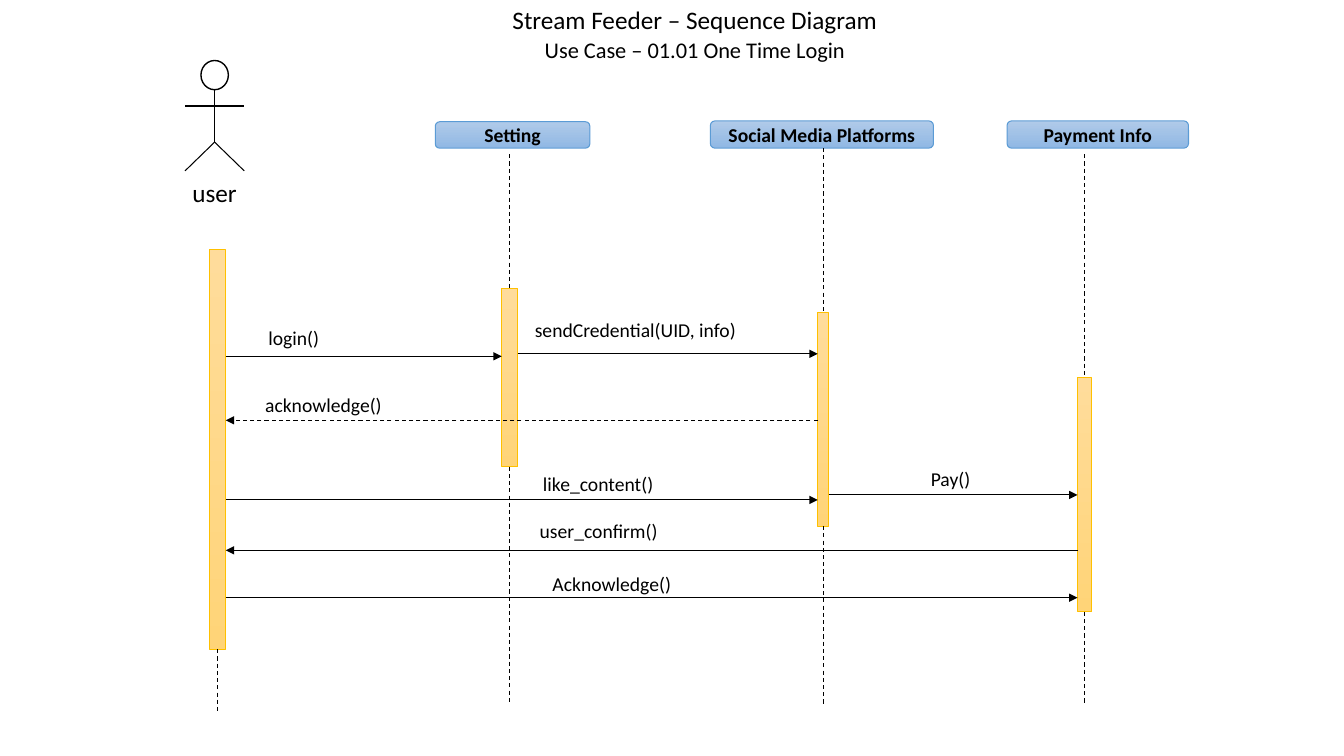
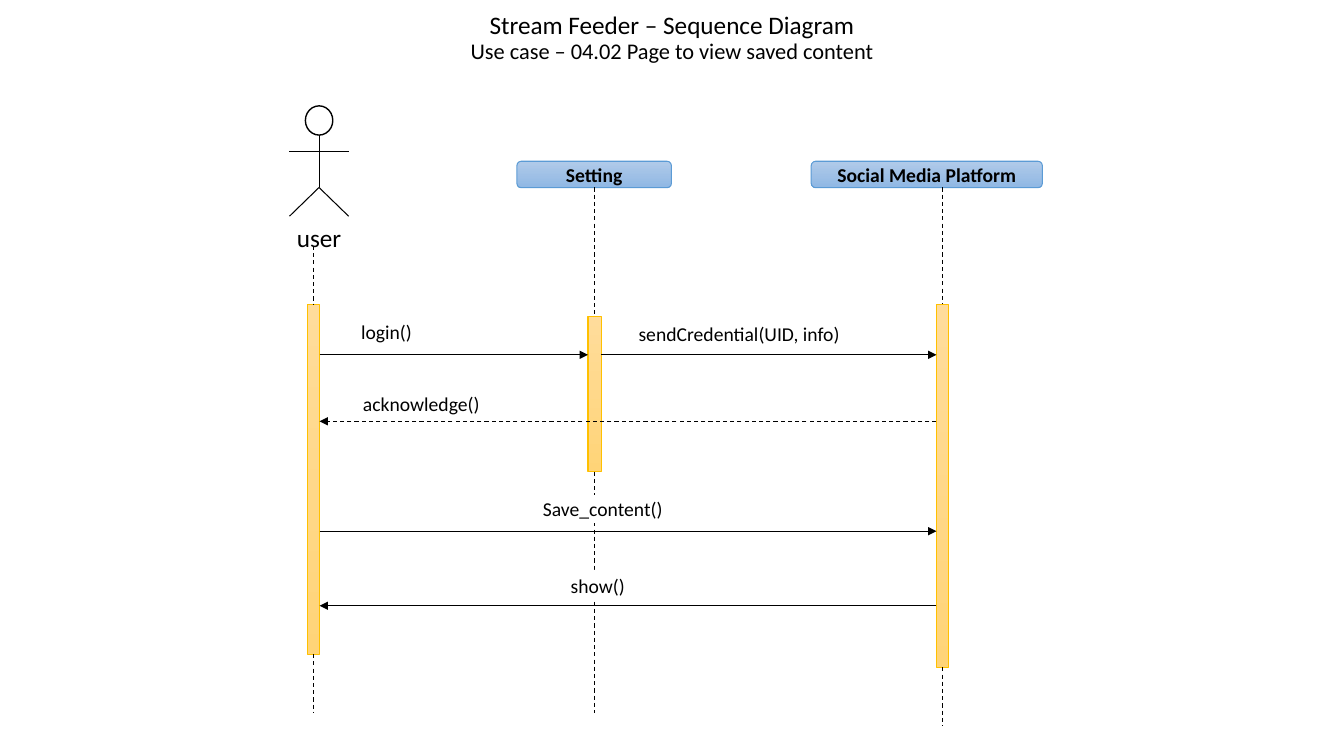
from pptx import Presentation
from pptx.util import Inches, Pt
from pptx.dml.color import RGBColor
from pptx.enum.dml import MSO_LINE
from pptx.enum.shapes import MSO_CONNECTOR, MSO_SHAPE as SHAPE
from pptx.enum.text import MSO_ANCHOR as ANCHOR, MSO_AUTO_SIZE, PP_ALIGN as ALIGN
from pptx.oxml.ns import qn
from lxml.etree import SubElement

BLACK, WHITE = "000000", "FFFFFF"
BLUES, BLUE_EDGE = ("B0CAE9", "90B8E4"), "5B9BD5"
AMBERS, AMBER_EDGE = ("FFDC9B", "FFD478"), "FFC000"


def rgb(value):
    return RGBColor.from_string(value)


class SequenceDeck:
    """Draws sequence diagrams with lengths in percent of the slide size."""

    font = "Calibri"

    def __init__(self):
        self.prs = Presentation()
        self.prs.slide_width, self.prs.slide_height = Inches(13.33), Inches(7.5)
        self.s = None

    def x(self, share):
        return round(self.prs.slide_width * share / 100)

    def y(self, share):
        return round(self.prs.slide_height * share / 100)

    def box(self, left, top, width, height):
        return self.x(left), self.y(top), self.x(width), self.y(height)

    def style(self, p, size, align, bold=False):
        p.alignment = align
        for r in p.runs:
            r.font.name, r.font.size, r.font.bold = self.font, Pt(size), bold
            r.font.color.rgb = rgb(BLACK)

    def slide(self, title, subtitle, center=50, top=1, gap=0):
        self.s = self.prs.slides.add_slide(self.prs.slide_layouts[5])
        sp = self.s.shapes.title
        sp.left, sp.top, sp.width, sp.height = self.box(center - 30, top, 60, 9)
        tf = sp.text_frame
        tf.text = f"{title}\n{subtitle}"
        tf.vertical_anchor, tf.word_wrap = ANCHOR.TOP, True
        tf.auto_size = MSO_AUTO_SIZE.NONE
        for p, size, before in zip(tf.paragraphs, (18, 16), (0, gap)):
            p.line_spacing, p.space_before = 0.9, Pt(before)
            self.style(p, size, ALIGN.CENTER)

    def shape(self, kind, box, fill, edge, width=0.75):
        sp = self.s.shapes.add_shape(kind, *self.box(*box))
        sp.shadow.inherit = False
        if isinstance(fill, tuple):
            sp.fill.gradient()
            sp.fill.gradient_angle = 270
            for stop, color in zip(sp.fill.gradient_stops, fill):
                stop.color.rgb = rgb(color)
        else:
            sp.fill.solid()
            sp.fill.fore_color.rgb = rgb(fill)
        sp.line.color.rgb, sp.line.width = rgb(edge), Pt(width)
        return sp

    def text(self, sp, text, size=14, align=ALIGN.CENTER, bold=False):
        tf = sp.text_frame
        tf.text = text
        tf.word_wrap, tf.vertical_anchor = True, ANCHOR.MIDDLE
        self.style(tf.paragraphs[0], size, align, bold)

    def line(self, x1, y1, x2, y2, width=0.75, dashed=False, arrow=False):
        c = self.s.shapes.add_connector(
            MSO_CONNECTOR.STRAIGHT, self.x(x1), self.y(y1), self.x(x2), self.y(y2))
        c.line.color.rgb, c.line.width = rgb(BLACK), Pt(width)
        if dashed:
            c.line.dash_style = MSO_LINE.DASH
        spPr = c.element.spPr
        if arrow:
            SubElement(spPr.find(qn("a:ln")), qn("a:tailEnd"), type="triangle")
        SubElement(spPr, qn("a:effectLst"))

    def label(self, text, box, size=14, align=ALIGN.CENTER, indent=0.0):
        sp = self.shape(SHAPE.ROUNDED_RECTANGLE, box, WHITE, WHITE, 1)
        self.text(sp, text, size, align)
        sp.text_frame.margin_left = Inches(0.1) + self.x(indent)

    def actor(self, name, center, top):
        neck, arms, hips, feet, reach = top + 3.87, top + 6, top + 10.8, top + 14.6, 2.2
        self.shape(SHAPE.FLOWCHART_CONNECTOR, (center - 1.02, top, 2.04, 3.87),
                   WHITE, BLACK, 1)
        self.line(center, neck, center, hips)
        for side in (-reach, reach):
            self.line(center, hips, center + side, feet)
        self.line(center - reach, arms, center + reach, arms, 1)
        self.label(name, (center - 3.65, top + 15.47, 7.3, 3.87), 18)

    def header(self, text, center, top, width, height=3.5):
        sp = self.shape(SHAPE.ROUNDED_RECTANGLE,
                        (center - width / 2, top, width, height), BLUES, BLUE_EDGE)
        self.text(sp, text, bold=True)

    def lifeline(self, center, width, start, top, bottom, end):
        left = center - width / 2
        self.shape(SHAPE.RECTANGLE, (left, top, width, bottom - top), AMBERS, AMBER_EDGE)
        if start is not None:
            self.line(center, start, center, top, dashed=True)
        self.line(center, bottom, center, end, dashed=True)
        return left, left + width

    def message(self, source, target, y, text, box, dashed=False, **style):
        self.label(text, box, **style)
        forward = source[0] < target[0]
        x1, x2 = (source[1], target[0]) if forward else (source[0], target[1])
        self.line(x1, y, x2, y, dashed=dashed, arrow=True)


LEFT = {"align": ALIGN.LEFT}
INDENTED = {"align": ALIGN.LEFT, "indent": 0.66}
RIGHT = {"align": ALIGN.RIGHT}
REPLY = {"align": ALIGN.LEFT, "dashed": True}
TITLE = "Stream Feeder – Sequence Diagram"

deck = SequenceDeck()

deck.slide(TITLE, "Use Case – 01.01 One Time Login", center=51.7, top=0.3, gap=3.5)
deck.actor("user", 15.97, 8)
for head in (("Setting", 38.14, 16.1, 11.5),
             ("Social Media Platforms", 61.16, 16, 16.6, 3.6),
             ("Payment Info", 81.68, 16, 13.5, 3.6)):
    deck.header(*head)
user, setting, platforms, payment = [deck.lifeline(*life) for life in (
    (16.2, 1.2, None, 33.07, 85.87, 94.4),
    (37.93, 1.2, 20.4, 38.13, 61.73, 93.2),
    (61.25, 0.82, 19.6, 41.33, 69.6, 93.2),
    (80.7, 1.05, 20.4, 50, 80.93, 93.2))]
for source, target, y, text, box, style in (
        (user, setting, 47.13, "login()", (18.45, 42.67, 16.05, 4), INDENTED),
        (setting, platforms, 46.8, "sendCredential(UID, info)",
         (38.93, 41.33, 20.03, 4.67), LEFT),
        (platforms, user, 55.6, "acknowledge()", (18.9, 51.87, 15, 3.33), REPLY),
        (user, platforms, 66.13, "like_content()", (39.08, 62.67, 10.35, 2.67), RIGHT),
        (platforms, payment, 65.47, "Pay()", (63.68, 61.2, 14.1, 4.13), {}),
        (payment, user, 72.8, "user_confirm()", (38.85, 68.4, 11.4, 3.47), {}),
        (user, payment, 79.07, "Acknowledge()", (39.15, 75.33, 12.75, 3.73), {})):
    deck.message(source, target, y, text, box, **style)

deck.slide(TITLE, "Use case – 04.02 Page to view saved content")
deck.actor("user", 23.74, 14)
deck.header("Setting", 44.21, 21.33, 11.5)
deck.header("Social Media Platform", 68.96, 21.33, 17.2)
user, setting, platform = [deck.lifeline(*life) for life in (
    (23.33, 0.9, 32.53, 40.27, 86.53, 94.27),
    (44.25, 1, 24.8, 41.87, 62.4, 94.27),
    (70.13, 0.9, 24.8, 40.27, 88.27, 96))]
for source, target, y, text, box, style in (
        (user, setting, 46.93, "login()", (25.35, 41.87, 16.05, 4), INDENTED),
        (setting, platform, 46.93, "sendCredential(UID, info)",
         (46.65, 41.87, 20.03, 4.67), LEFT),
        (platform, user, 55.73, "acknowledge()", (26.18, 51.73, 15, 3.33), REPLY),
        (user, platform, 70.27, "Save_content()", (36.83, 65.6, 16.05, 3.47), {}),
        (platform, user, 80.13, "show()", (41.18, 75.47, 6.6, 4), {})):
    deck.message(source, target, y, text, box, **style)

deck.prs.save("out.pptx")
